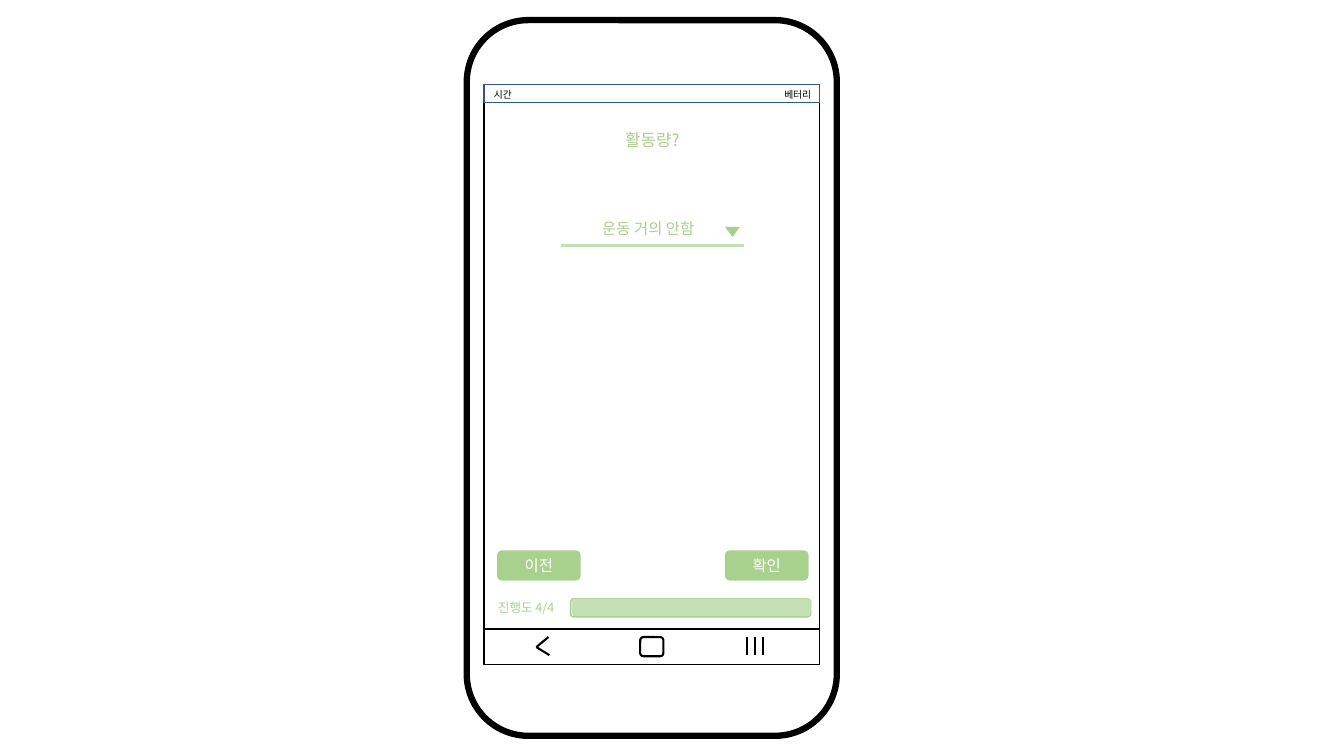
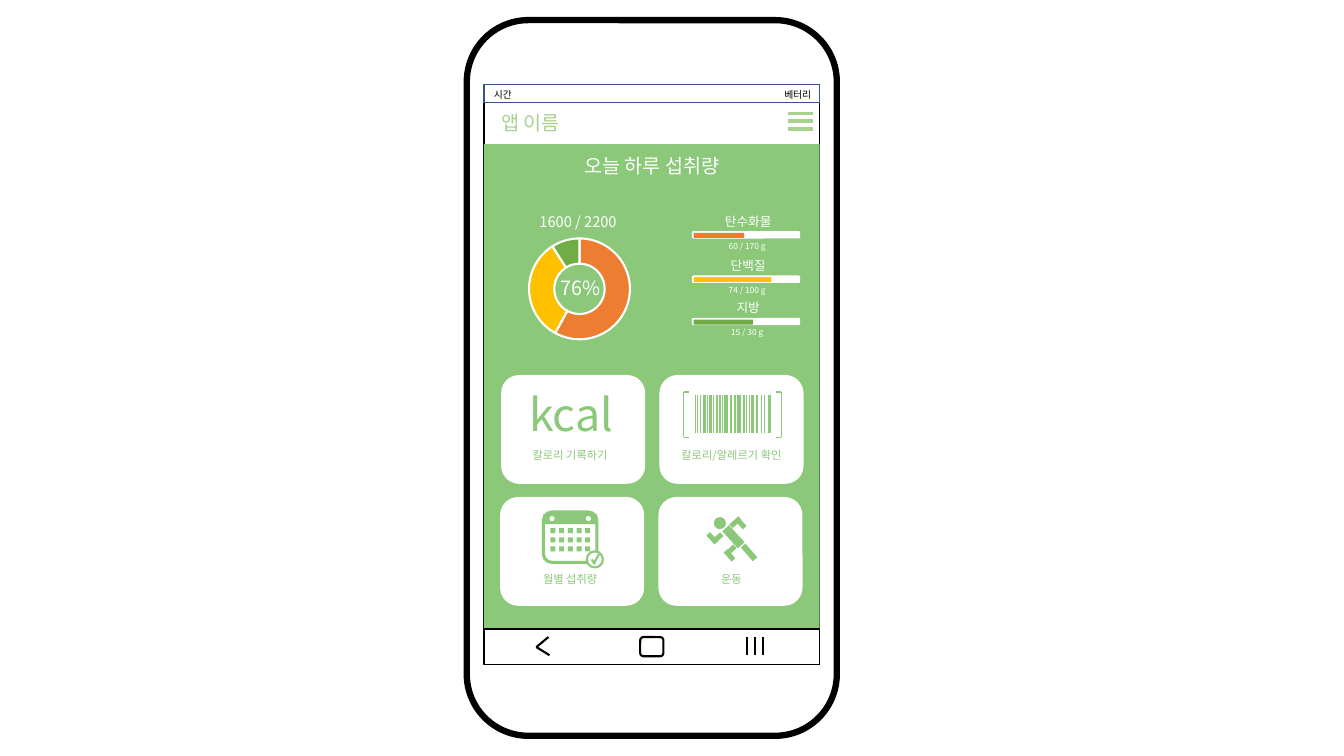
from dataclasses import dataclass
from itertools import product

from lxml import etree
from pptx import Presentation
from pptx.chart.data import CategoryChartData
from pptx.dml.color import RGBColor
from pptx.enum.chart import XL_CHART_TYPE as CT
from pptx.enum.shapes import MSO_CONNECTOR, MSO_SHAPE as SH
from pptx.enum.text import MSO_ANCHOR, MSO_AUTO_SIZE, PP_ALIGN as AL
from pptx.oxml.ns import qn
from pptx.util import Inches, Pt


@dataclass(frozen=True)
class Theme:
    font: str = "Noto Sans CJK KR"
    black: str = "000000"
    white: str = "FFFFFF"
    navy: str = "325491"
    green: str = "8BC87A"
    leaf: str = "A9D18E"
    pale: str = "C5E0B4"
    orange: str = "ED7D31"
    amber: str = "FFC000"
    moss: str = "70AD47"
    huge: float = 32
    title: float = 14
    question: float = 12
    body: float = 11
    total: float = 10.5
    label: float = 9
    caption: float = 8
    status: float = 7
    tiny: float = 6


T = Theme()

# Content
STATUS = [("시간", 4.8), ("베터리", 7.68)]
BUTTONS = [("이전", 4.93), ("확인", 7.19)]
# name, amount, bar top, filled width, colour, share of the ring
MACROS = [
    ("탄수화물", "60 / 170 g ", 2.3, 0.5, T.orange, 58),
    ("단백질", "74 / 100 g ", 2.74, 0.77, T.amber, 33),
    ("지방", "15 / 30 g ", 3.16, 0.59, T.moss, 9),
]
CARDS = [["칼로리 기록하기", "칼로리/알레르기 확인"], ["월별 섭취량", "운동"]]
# stroke width: positions of the barcode bars
BARCODE = {
    0.5: (7.02, 7.08, 7.16, 7.4, 7.43),
    1: (6.9, 6.92, 6.95, 7.11, 7.14, 7.25, 7.29, 7.38, 7.51, 7.55, 7.58),
    2.25: (6.99, 7.05, 7.2, 7.33, 7.46, 7.63),
}
# left, top, width, height, rotation of the runner's body and limbs
RUNNER = [
    (7.23, 5.21, 0.09, 0.23, 317.7),
    (7.09, 5.28, 0.05, 0.12, 48.6),
    (7.04, 5.28, 0.05, 0.12, 316.9),
    (7.27, 5.12, 0.05, 0.12, 228.6),
    (7.32, 5.13, 0.05, 0.12, 136.9),
    (7.21, 5.45, 0.05, 0.12, 138.6),
    (7.22, 5.4, 0.05, 0.12, 46.9),
    (7.4, 5.39, 0.06, 0.18, 318.6),
]


# Helpers
def rgb(color):
    return RGBColor.from_string(color)


def write(sp, text, size, color, align=AL.CENTER):
    tf = sp.text_frame
    tf.word_wrap = True
    if align == AL.CENTER:
        tf.margin_left = tf.margin_right = 0
    p = tf.paragraphs[0]
    p.alignment = align
    r = p.add_run()
    r.text = text
    r.font.size = Pt(size)
    r.font.name = T.font
    r.font.color.rgb = rgb(color)
    ea = etree.SubElement(r.font._element, qn("a:ea"))
    ea.set("typeface", T.font)
    return tf


def label(s, text, x, y, w, h, **fmt):
    sp = s.shapes.add_textbox(Inches(x), Inches(y), Inches(w), Inches(h))
    write(sp, text, **fmt).auto_size = MSO_AUTO_SIZE.SHAPE_TO_FIT_TEXT


def shape(s, kind, x, y, w, h, fill=None, line=None, width=1, rot=0):
    sp = s.shapes.add_shape(kind, Inches(x), Inches(y), Inches(w), Inches(h))
    sp.shadow.inherit = False
    sp.rotation = rot
    if fill:
        sp.fill.solid()
        sp.fill.fore_color.rgb = rgb(fill)
    else:
        sp.fill.background()
    if line:
        sp.line.color.rgb = rgb(line)
        sp.line.width = Pt(width)
    else:
        sp.line.fill.background()
    return sp


def line(s, x1, y1, x2, y2, color, width):
    cx = s.shapes.add_connector(MSO_CONNECTOR.STRAIGHT, Inches(x1), Inches(y1),
                                Inches(x2), Inches(y2))
    cx.line.color.rgb = rgb(color)
    cx.line.width = Pt(width)
    etree.SubElement(cx._element.spPr, qn("a:effectLst"))


# Shared phone
def add_phone(prs):
    s = prs.slides.add_slide(prs.slide_layouts[6])
    shape(s, SH.ROUNDED_RECTANGLE, 4.63, 0.2, 3.67, 7.1, T.white, T.black, 4.5)
    shape(s, SH.RECTANGLE, 4.8, 0.84, 3.33, 5.74, T.white, T.black)
    shape(s, SH.RECTANGLE, 4.8, 0.84, 3.33, 0.18, T.white, T.navy)
    for text, x in STATUS:
        label(s, text, x, 0.83, 0.52, 0.22, size=T.status, color=T.black,
              align=AL.LEFT)
    return s


def add_nav_bar(s):
    shape(s, SH.RECTANGLE, 4.8, 6.24, 3.33, 0.35, T.white, T.black)
    line(s, 5.44, 6.32, 5.32, 6.42, T.black, 1.5)
    line(s, 5.45, 6.5, 5.32, 6.42, T.black, 1.5)
    shape(s, SH.ROUNDED_RECTANGLE, 6.35, 6.32, 0.23, 0.19, T.white, T.black, 1.5)
    for i in range(3):
        x = 7.41 + 0.08 * i
        line(s, x, 6.32, x, 6.5, T.black, 1.5)


# Slide 1: activity question
def add_activity(prs):
    s = add_phone(prs)
    label(s, "활동량?", 5.36, 1.24, 2.22, 0.3, size=T.question, color=T.leaf)
    label(s, "운동 거의 안함", 5.32, 2.12, 2.22, 0.29, size=T.body, color=T.leaf)
    line(s, 5.56, 2.44, 7.38, 2.44, T.pale, 2.25)
    shape(s, SH.ISOSCELES_TRIANGLE, 7.19, 2.25, 0.15, 0.1, T.leaf, rot=180)
    for text, x in BUTTONS:
        sp = shape(s, SH.ROUNDED_RECTANGLE, x, 5.46, 0.83, 0.3, T.leaf)
        tf = write(sp, text, T.body, T.white)
        tf.vertical_anchor = MSO_ANCHOR.MIDDLE
    label(s, "진행도 4/4", 4.84, 5.9, 1.63, 0.25, size=T.label, color=T.leaf,
          align=AL.LEFT)
    shape(s, SH.ROUNDED_RECTANGLE, 5.66, 5.94, 2.38, 0.18, T.white, T.leaf)
    shape(s, SH.ROUNDED_RECTANGLE, 5.67, 5.94, 2.37, 0.17, T.pale)
    add_nav_bar(s)


# Slide 2: daily intake
def add_ring(s):
    data = CategoryChartData()
    data.categories = ["1", "2", "3"]
    data.add_series("Series 1", [m[-1] for m in MACROS])
    chart = s.shapes.add_chart(CT.DOUGHNUT, Inches(5.17), Inches(2.35),
                               Inches(1.54), Inches(1.26), data).chart
    chart.has_legend = chart.has_title = False
    chart.font.name = T.font
    chart.font.size = Pt(10)
    chart.font.color.rgb = rgb(T.black)
    plot = chart.plots[0]
    plot.vary_by_categories = True
    for i, macro in enumerate(MACROS):
        fmt = plot.series[0].points[i].format
        fmt.fill.solid()
        fmt.fill.fore_color.rgb = rgb(macro[4])
        fmt.line.color.rgb = rgb(T.white)
        fmt.line.width = Pt(1.5)
    plot._element.find(qn("c:holeSize")).set("val", "75")
    area = plot._element.getparent()
    layout = area.find(qn("c:layout"))
    if layout is None:
        layout = etree.Element(qn("c:layout"))
        area.insert(0, layout)
    manual = etree.SubElement(layout, qn("c:manualLayout"))
    for tag, val in [("layoutTarget", "inner"), ("xMode", "edge"),
                     ("yMode", "edge"), ("x", "0.05"), ("y", "0.01"),
                     ("w", "0.65"), ("h", "0.8")]:
        etree.SubElement(manual, qn("c:" + tag)).set("val", val)


def add_macros(s):
    for name, amount, y, filled, color, _ in MACROS:
        shape(s, SH.ROUNDED_RECTANGLE, 6.87, y, 1.06, 0.06, T.white, T.white)
        shape(s, SH.ROUNDED_RECTANGLE, 6.88, y + 0.01, filled, 0.05, color)
        label(s, name, 7.08, y - 0.23, 0.68, 0.25, size=T.label, color=T.white)
        label(s, amount, 7.08, y + 0.04, 0.68, 0.2, size=T.tiny, color=T.white)


def add_barcode(s):
    for width, places in BARCODE.items():
        for x in places:
            line(s, x, 3.92, x, 4.3, T.green, width)
    for edge, tip in [(6.78, 6.83), (7.75, 7.7)]:
        line(s, edge, 3.89, edge, 4.34, T.green, 1)
        for y in (3.89, 4.34):
            line(s, edge, y, tip, y, T.green, 1)


def add_calendar(s):
    shape(s, SH.ROUNDED_RECTANGLE, 5.39, 5.08, 0.53, 0.5, None, T.green, 2.25)
    shape(s, SH.RECTANGLE, 5.39, 5.1, 0.53, 0.1, T.green)
    shape(s, SH.RECTANGLE, 5.42, 5.09, 0.47, 0.05, T.green)
    for x in (5.45, 5.81):
        shape(s, SH.OVAL, x, 5.12, 0.05, 0.05, T.white)
    for row, col in product(range(3), range(5)):
        shape(s, SH.RECTANGLE, 5.46 + 0.086 * col, 5.24 + 0.09 * row,
              0.05, 0.05, T.green)
    shape(s, SH.OVAL, 5.82, 5.47, 0.16, 0.16, T.white, T.green, 1.5)
    line(s, 5.87, 5.55, 5.9, 5.6, T.green, 1.5)
    line(s, 5.94, 5.5, 5.89, 5.59, T.green, 1.5)


def add_runner(s):
    shape(s, SH.OVAL, 7.08, 5.13, 0.12, 0.12, T.green)
    for x, y, w, h, rot in RUNNER:
        shape(s, SH.RECTANGLE, x, y, w, h, T.green, rot=rot)


def add_intake(prs):
    s = add_phone(prs)
    shape(s, SH.RECTANGLE, 4.8, 1.43, 3.33, 5.15, T.green)
    label(s, "앱 이름", 4.8, 1.05, 0.92, 0.34, size=T.title, color=T.leaf)
    for y in (1.13, 1.2, 1.28):
        line(s, 7.82, y, 8.06, y, T.leaf, 2.25)
    label(s, "오늘 하루 섭취량", 4.96, 1.48, 3.01, 0.34, size=T.title,
          color=T.white)
    label(s, "1600 / 2200 ", 4.16, 2.06, 3.18, 0.29, size=T.total, color=T.white)
    add_ring(s)
    label(s, "76%", 5.32, 2.69, 0.87, 0.34, size=T.title, color=T.white)
    add_macros(s)
    for row, col in product(range(2), range(2)):
        shape(s, SH.ROUNDED_RECTANGLE, 4.97 + 1.57 * col - 0.01 * row,
              3.72 + 1.21 * row, 1.43, 1.08, T.white)
        label(s, CARDS[row][col], 4.8 + 1.6 * col, 4.4 + 1.23 * row, 1.71, 0.24,
              size=T.caption, color=T.green)
    label(s, "kcal", 5.02, 3.79, 1.29, 0.64, size=T.huge, color=T.green)
    add_barcode(s)
    add_calendar(s)
    add_runner(s)
    add_nav_bar(s)


prs = Presentation()
prs.slide_width, prs.slide_height = Inches(13.33), Inches(7.5)
add_activity(prs)
add_intake(prs)
prs.save("out.pptx")
